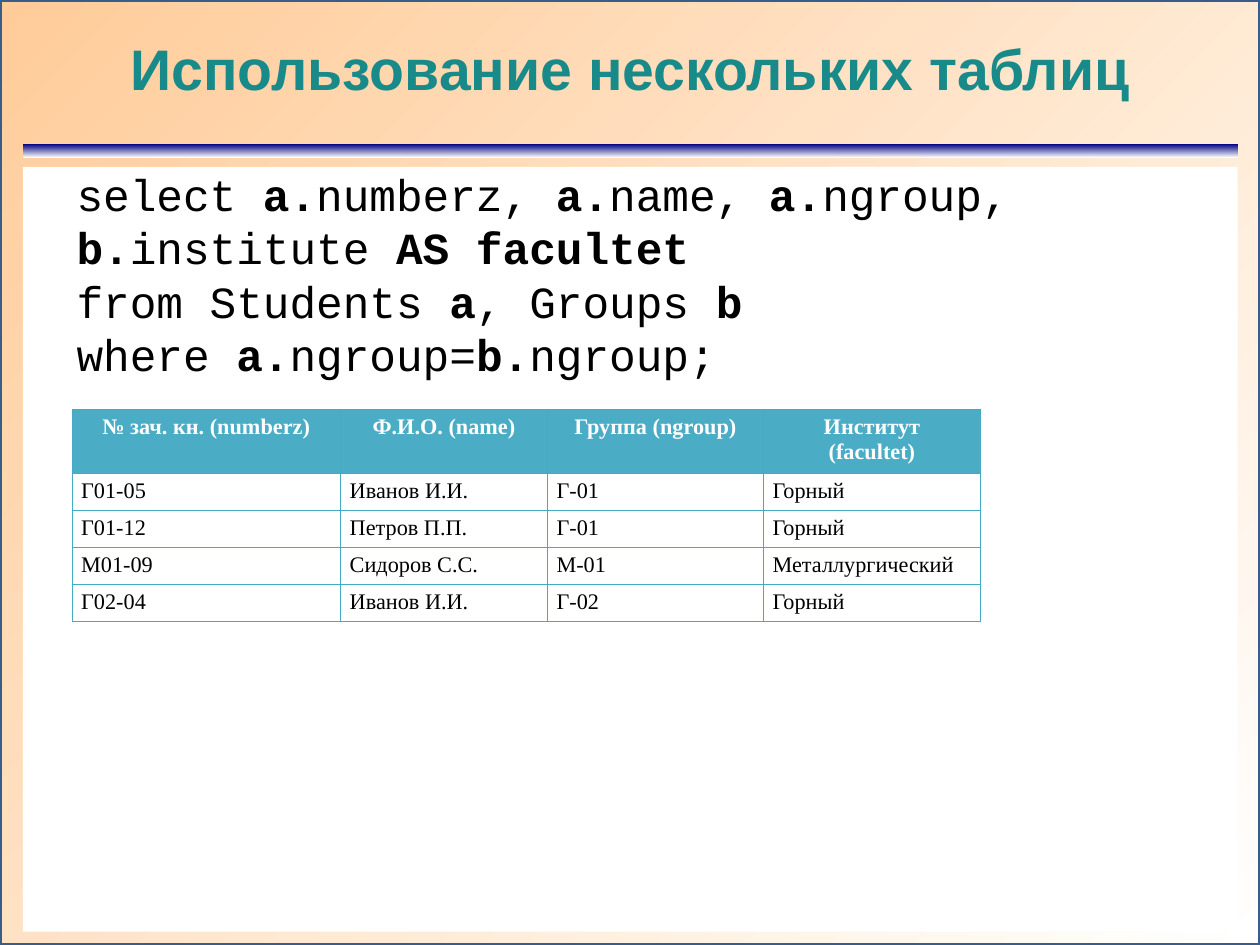
from dataclasses import dataclass

from lxml import etree
from pptx import Presentation
from pptx.dml.color import RGBColor
from pptx.enum.shapes import MSO_SHAPE
from pptx.enum.text import MSO_ANCHOR, PP_ALIGN
from pptx.oxml.ns import qn
from pptx.util import Inches, Pt

WHITE = RGBColor(0xFF, 0xFF, 0xFF)
BLACK = RGBColor(0x00, 0x00, 0x00)
PEACH = RGBColor(0xFF, 0xCC, 0x99)
NAVY = RGBColor(0x00, 0x00, 0x80)
FRAME_BLUE = RGBColor(0x38, 0x5D, 0x8A)
TITLE_TEAL = RGBColor(0x19, 0x8A, 0x8A)
HEADER_BLUE = RGBColor(0x4B, 0xAC, 0xC6)
GRID_BLUE = RGBColor(0x46, 0xAA, 0xC5)

SLIDE_W, SLIDE_H = Pt(793.75), Pt(595.25)
MARGIN, CONTENT_W = 0.2, 10.63
HEADER_H, ROW_H = 0.47, 0.23

# Bold parts stand between ** marks.
QUERY = [
    "select **a.**numberz, **a.**name, **a.**ngroup, **b.**institute **AS facultet**",
    "from Students **a**, Groups **b**",
    "where **a.**ngroup=**b.**ngroup;",
]


@dataclass
class Column:
    header: str
    width: float
    values: list[str]
    align: PP_ALIGN = PP_ALIGN.LEFT


COLUMNS = [
    Column("№ зач. кн. (numberz)", 2.35, ["Г01-05", "Г01-12", "М01-09", "Г02-04"]),
    Column("Ф.И.О. (name)", 1.81,
           ["Иванов И.И.", "Петров П.П.", "Сидоров С.С.", "Иванов И.И."]),
    Column("Группа (ngroup)", 1.89, ["Г-01", "Г-01", "М-01", "Г-02"]),
    Column("Институт\n(facultet)", 1.9,
           ["Горный", "Горный", "Металлургический", "Горный"], PP_ALIGN.JUSTIFY),
]


def write_text(tf, paragraphs: list[str], *, font: str, size: float, color: RGBColor,
               align: PP_ALIGN = PP_ALIGN.LEFT) -> None:
    """Fill a text frame; ** toggles bold and a newline breaks the line."""
    tf.word_wrap = True
    for i, text in enumerate(paragraphs):
        p = tf.add_paragraph() if i else tf.paragraphs[0]
        p.alignment = align
        for j, part in enumerate(text.split("**")):
            for n, line in enumerate(part.split("\n")):
                if n:
                    p.add_line_break()
                if not line:
                    continue
                r = p.add_run()
                r.text = line
                r.font.name = font
                r.font.size = Pt(size)
                r.font.bold = j % 2 == 1
                r.font.color.rgb = color


def set_insets(tf, left: float = 0) -> None:
    tf.margin_left = Inches(left)
    tf.margin_top = tf.margin_right = tf.margin_bottom = 0


def add_rect(slide, left: float, top: float, width: float, height: float):
    sp = slide.shapes.add_shape(MSO_SHAPE.RECTANGLE, Inches(left), Inches(top),
                                Inches(width), Inches(height))
    sp.shadow.inherit = False
    sp.line.fill.background()
    return sp


def fill_gradient(sp, start: RGBColor, end: RGBColor, angle: float) -> None:
    """Blend two colours; the angle runs counter-clockwise."""
    sp.fill.gradient()
    sp.fill.gradient_angle = angle
    for stop, color in zip(sp.fill.gradient_stops, (start, end)):
        stop.color.rgb = color


def set_borders(cell, color: RGBColor, width: float) -> None:
    tc_pr = cell._tc.get_or_add_tcPr()
    for i, side in enumerate(("a:lnL", "a:lnR", "a:lnT", "a:lnB")):
        ln = etree.Element(qn(side), w=str(Pt(width)))
        fill = etree.SubElement(ln, qn("a:solidFill"))
        etree.SubElement(fill, qn("a:srgbClr"), val=str(color))
        tc_pr.insert(i, ln)


def fill_cell(cell, text: str, fill: RGBColor, color: RGBColor, align: PP_ALIGN) -> None:
    cell.margin_left = cell.margin_right = Inches(0.08)
    cell.margin_top, cell.margin_bottom = Inches(0.05), Inches(0.04)
    cell.fill.solid()
    cell.fill.fore_color.rgb = fill
    set_borders(cell, GRID_BLUE, 0.34)
    write_text(cell.text_frame, [text], font="Times New Roman", size=14,
               color=color, align=align)


def add_result_table(slide, left: float, top: float) -> None:
    n_rows = len(COLUMNS[0].values) + 1
    width = sum(col.width for col in COLUMNS)
    height = HEADER_H + ROW_H * (n_rows - 1)
    table = slide.shapes.add_table(n_rows, len(COLUMNS), Inches(left), Inches(top),
                                   Inches(width), Inches(height)).table
    for i, row in enumerate(table.rows):
        row.height = Inches(ROW_H if i else HEADER_H)
    for c, col in enumerate(COLUMNS):
        table.columns[c].width = Inches(col.width)
        fill_cell(table.cell(0, c), f"**{col.header}**", HEADER_BLUE, WHITE,
                  PP_ALIGN.CENTER)
        for r, value in enumerate(col.values, start=1):
            fill_cell(table.cell(r, c), value, WHITE, BLACK, col.align)


def main() -> None:
    prs = Presentation()
    prs.slide_width, prs.slide_height = SLIDE_W, SLIDE_H
    slide = prs.slides.add_slide(prs.slide_layouts[6])

    backdrop = add_rect(slide, 0, 0, SLIDE_W.inches, SLIDE_H.inches)
    fill_gradient(backdrop, WHITE, PEACH, 135)
    backdrop.line.color.rgb = FRAME_BLUE
    backdrop.line.width = Pt(2)

    divider = add_rect(slide, MARGIN, 1.26, CONTENT_W, 0.12)
    fill_gradient(divider, NAVY, WHITE, 270)

    title = slide.shapes.add_textbox(Inches(MARGIN), Inches(0.2),
                                     Inches(CONTENT_W), Inches(0.79)).text_frame
    set_insets(title)
    title.vertical_anchor = MSO_ANCHOR.MIDDLE
    write_text(title, ["**Использование нескольких таблиц**"], font="Arial", size=36,
               color=TITLE_TEAL, align=PP_ALIGN.CENTER)

    body = add_rect(slide, MARGIN, 1.46, CONTENT_W, 6.69)
    body.fill.solid()
    body.fill.fore_color.rgb = WHITE
    set_insets(body.text_frame, left=0.47)
    body.text_frame.vertical_anchor = MSO_ANCHOR.TOP
    write_text(body.text_frame, QUERY, font="Courier New", size=28, color=BLACK)

    add_result_table(slide, 0.63, 3.58)
    prs.save("out.pptx")


if __name__ == "__main__":
    main()
